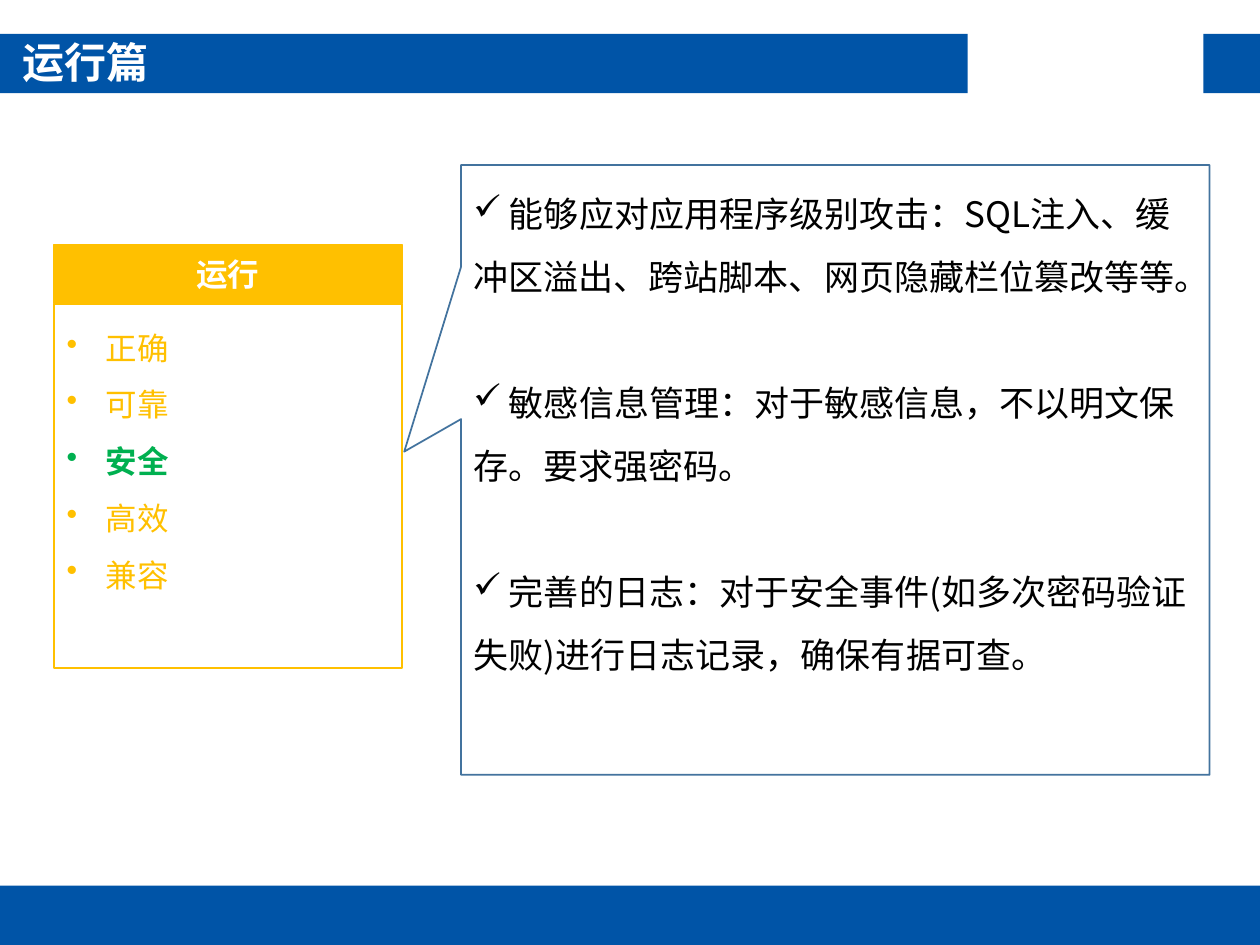
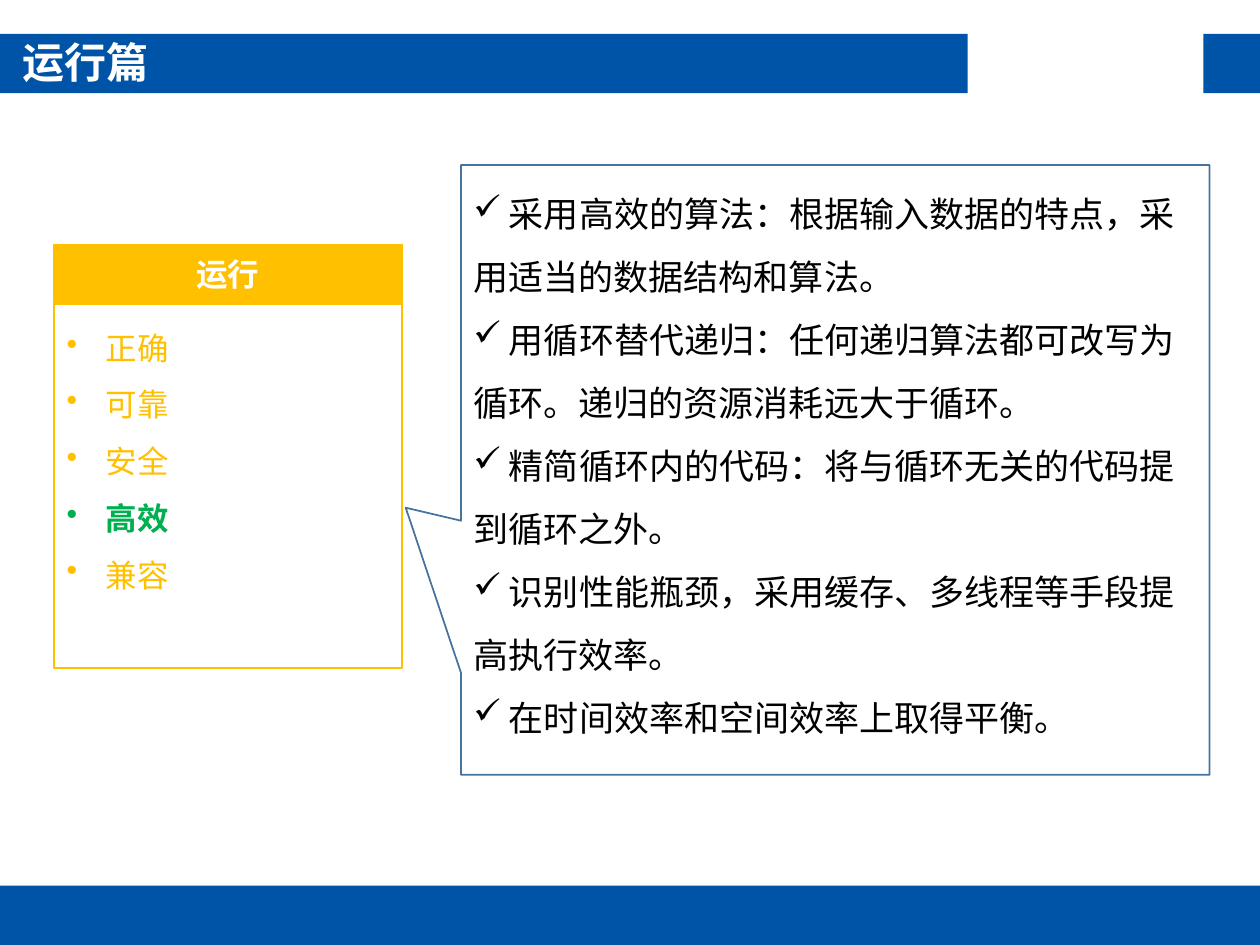
"""Build two slides on the security and efficiency of running code."""
from lxml import etree
from pptx import Presentation
from pptx import util as u
from pptx.dml.color import RGBColor
from pptx.enum import shapes, text
from pptx.oxml.ns import qn

BLUE = RGBColor(0x00, 0x54, 0xA7)
STEEL = RGBColor(0x43, 0x73, 0x9E)
AMBER = RGBColor(0xFF, 0xC0, 0x00)
GREEN = RGBColor(0x00, 0xB0, 0x50)
WHITE = RGBColor(0xFF, 0xFF, 0xFF)
BLACK = RGBColor(0x00, 0x00, 0x00)
FONT = "Noto Sans CJK SC"
RECT = shapes.MSO_SHAPE.RECTANGLE
CALLOUT = shapes.MSO_SHAPE.RECTANGULAR_CALLOUT
TOP, MIDDLE = text.MSO_ANCHOR.TOP, text.MSO_ANCHOR.MIDDLE
LEFT, CENTER = text.PP_ALIGN.LEFT, text.PP_ALIGN.CENTER

BAND_H = 0.47
BANDS = [(0, 0.27, 7.68), (9.55, 0.27, 0.45), (0, 7.03, 10)]
CARD_X, CARD_Y, CARD_W, CARD_H = 0.43, 1.94, 2.76, 2.89
QUALITIES = ["正确", "可靠", "安全", "高效", "兼容"]
SLIDES = [
    {"active": "安全", "tip": (-0.576, -0.03), "gap": 36, "points": [
        "能够应对应用程序级别攻击：SQL注入、缓冲区溢出、跨站脚本、网页隐藏栏位篡改等等。",
        "敏感信息管理：对于敏感信息，不以明文保存。要求强密码。",
        "完善的日志：对于安全事件(如多次密码验证失败)进行日志记录，确保有据可查。"]},
    {"active": "高效", "tip": (-0.574, 0.062), "gap": 0, "points": [
        "采用高效的算法：根据输入数据的特点，采用适当的数据结构和算法。",
        "用循环替代递归：任何递归算法都可改写为循环。递归的资源消耗远大于循环。",
        "精简循环内的代码：将与循环无关的代码提到循环之外。",
        "识别性能瓶颈，采用缓存、多线程等手段提高执行效率。",
        "在时间效率和空间效率上取得平衡。"]},
]


def add_box(slide, kind, x, y, w, h, fill=None, line=None, anchor=TOP):
    sp = slide.shapes.add_shape(kind, *map(u.Inches, (x, y, w, h)))
    sp.shadow.inherit = False
    for part, color in ((sp.fill, fill), (sp.line.fill, line)):
        if color is None:
            part.background()
        else:
            part.solid()
            part.fore_color.rgb = color
    if line is not None:
        sp.line.width = u.Pt(1)
    sp.text_frame.word_wrap = True
    sp.text_frame.vertical_anchor = anchor
    return sp


def write(tf, index, words, size, color, bold=False, bullet=None, indent=0, **layout):
    p = tf.add_paragraph() if index else tf.paragraphs[0]
    for name, value in layout.items():
        setattr(p, name, value)
    r = p.add_run()
    r.text = words
    for name, value in {"name": FONT, "size": u.Pt(size), "bold": bold}.items():
        setattr(r.font, name, value)
    r.font.color.rgb = color
    etree.SubElement(r.font._element, qn("a:ea")).set("typeface", FONT)
    if bullet:
        props = p._p.get_or_add_pPr()
        props.set("marL", str(u.Inches(indent)))
        props.set("indent", str(-u.Inches(indent)))
        etree.SubElement(props, qn("a:buChar")).set("char", bullet)


prs = Presentation()
prs.slide_width, prs.slide_height = u.Inches(10), u.Inches(7.5)
title_only = prs.slide_layouts[5]

for number, content in enumerate(SLIDES):
    s = prs.slides.add_slide(title_only)
    if number == 0:
        for x, y, w in BANDS:
            band = add_box(s, RECT, x, y, w, BAND_H, BLUE)
            title_only.shapes.element.append(band.element)

    title = s.shapes.title
    frame = {"left": 0.08, "top": 0.24, "width": 7.6, "height": 0.5}
    for name, value in frame.items():
        setattr(title, name, u.Inches(value))
    tf = title.text_frame
    tf.auto_size = text.MSO_AUTO_SIZE.NONE
    tf.vertical_anchor = MIDDLE
    write(tf, 0, "运行篇", 24, WHITE, True, alignment=text.PP_ALIGN.JUSTIFY)

    callout = add_box(s, CALLOUT, 3.66, 1.31, 5.94, 4.84, WHITE, STEEL)
    callout.adjustments[0], callout.adjustments[1] = content["tip"]
    for i, point in enumerate(content["points"]):
        write(callout.text_frame, i, " " + point, 20, BLACK, bullet="✓",
              alignment=LEFT, line_spacing=1.5,
              space_before=u.Pt(content["gap"] if i else 0))

    header = add_box(s, RECT, CARD_X, CARD_Y, CARD_W, BAND_H, AMBER, AMBER, MIDDLE)
    write(header.text_frame, 0, "运行", 18, WHITE, True, alignment=CENTER)

    card = add_box(s, RECT, CARD_X, CARD_Y + BAND_H, CARD_W, CARD_H, line=AMBER)
    for i, quality in enumerate(QUALITIES):
        active = quality == content["active"]
        write(card.text_frame, i, quality, 18, GREEN if active else AMBER, active,
              "•", 0.31, alignment=LEFT, line_spacing=1.5)

prs.save("out.pptx")
